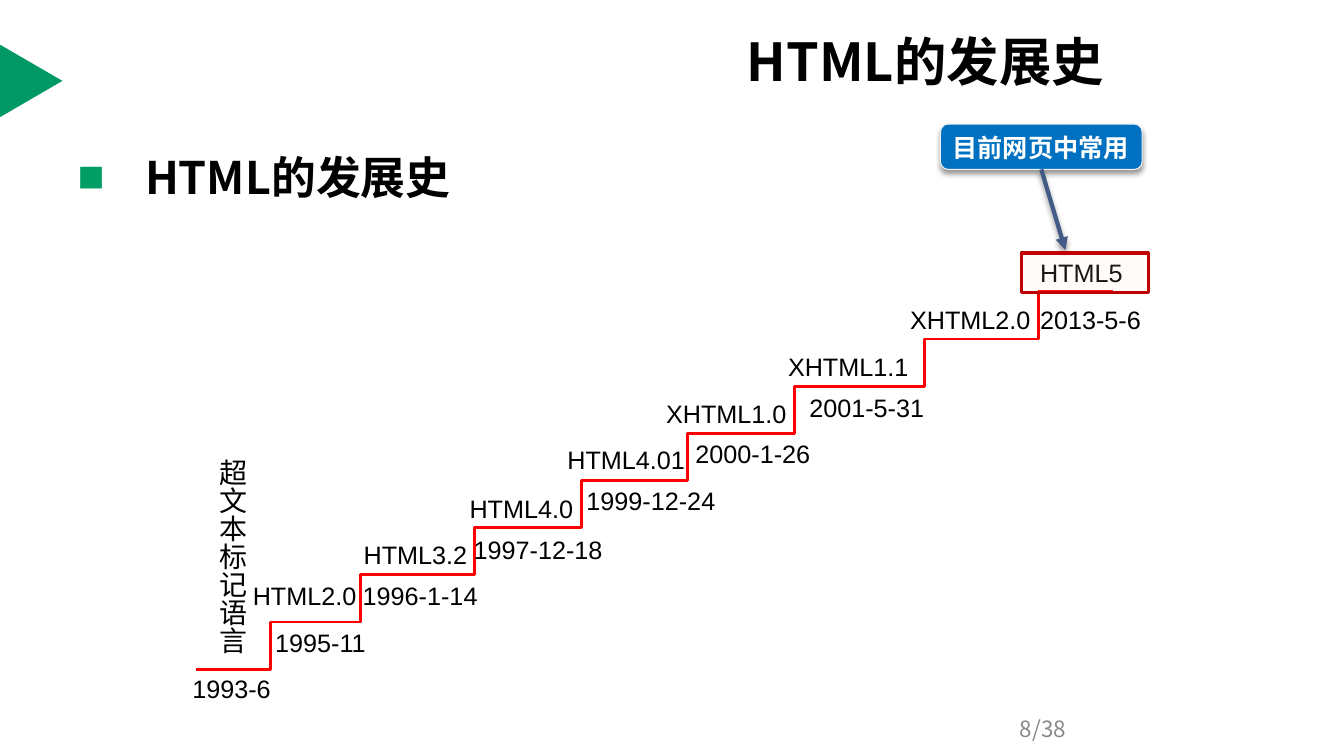
"""Build the slide on the history of HTML as a rising staircase."""
from lxml import etree
from pptx import Presentation
from pptx.dml.color import RGBColor
from pptx.enum.shapes import MSO_CONNECTOR, MSO_SHAPE
from pptx.enum.text import MSO_ANCHOR, MSO_AUTO_SIZE, PP_ALIGN
from pptx.oxml import parse_xml
from pptx.oxml.ns import nsdecls, qn
from pptx.util import Pt

ELBOW, STRAIGHT = MSO_CONNECTOR.ELBOW, MSO_CONNECTOR.STRAIGHT
TRIANGLE, RECTANGLE = MSO_SHAPE.ISOSCELES_TRIANGLE, MSO_SHAPE.RECTANGLE
ROUNDED = MSO_SHAPE.ROUNDED_RECTANGLE
TOP, MIDDLE, BOTTOM = MSO_ANCHOR.TOP, MSO_ANCHOR.MIDDLE, MSO_ANCHOR.BOTTOM
LEFT, CENTER = PP_ALIGN.LEFT, PP_ALIGN.CENTER
NO_FIT, GROW = MSO_AUTO_SIZE.NONE, MSO_AUTO_SIZE.SHAPE_TO_FIT_TEXT

BLACK = RGBColor(0x00, 0x00, 0x00)
WHITE = RGBColor(0xFF, 0xFF, 0xFF)
GREEN = RGBColor(0x00, 0x99, 0x66)
RED = RGBColor(0xFF, 0x00, 0x00)
DARK_RED = RGBColor(0xC0, 0x00, 0x00)
PINK = RGBColor(0xFF, 0xDD, 0xDD)
BLUE = RGBColor(0x00, 0x70, 0xC0)
ARROW_BLUE = RGBColor(0x41, 0x5A, 0x86)
PALE = RGBColor(0xF2, 0xF2, 0xF2)
GREY = RGBColor(0x89, 0x89, 0x89)
ARIAL, NOTO = "Arial", "Noto Sans CJK SC"

HEADING = "HTML的发展史"
ORIGIN = "超文本标记语言"
CALLOUT = "目前网页中常用"
PAGE_NUMBER = "8/38"
LABELS = [
    ("1993-6", 130.3, 477.4, 72),
    ("1995-11", 189.4, 444.5, 82),
    ("HTML2.0", 173.5, 410.7, 92),
    ("HTML3.2", 252.7, 381.6, 92),
    ("1996-1-14", 252, 410.7, 100),
    ("HTML4.0", 328.3, 348.5, 92),
    ("1997-12-18", 331.2, 378, 110),
    ("HTML4.01", 398.2, 313.9, 102),
    ("1999-12-24", 411.8, 343.4, 110),
    ("XHTML1.0", 468.7, 281.2, 106),
    ("2000-1-26", 489.6, 309.6, 100),
    ("XHTML1.1", 555.8, 247.7, 106),
    ("2001-5-31", 571, 276.5, 100),
    ("XHTML2.0", 643, 213.8, 106),
    ("HTML5", 735.8, 180, 76),
    ("2013-5-6", 735.8, 213.8, 90),
]
RISERS = [193, 257.8, 339.1, 415.4, 491, 567.4, 660.2, 741.6]
FLOOR, RISE, HALF_RUN = 478, 33.7, 53.3


def place(item, left, top, width, height):
    item.left, item.top = Pt(left), Pt(top)
    item.width, item.height = Pt(width), Pt(height)


def write(item, text, size, color, font=ARIAL, bold=False, anchor=TOP,
          align=LEFT, wrap=False, fit=GROW):
    frame = item.text_frame
    frame.text = text
    frame.word_wrap, frame.auto_size = wrap, fit
    frame.vertical_anchor = anchor
    para = frame.paragraphs[0]
    para.alignment = align
    para.space_before = Pt(0)
    span = para.runs[0]
    span.font.size, span.font.bold, span.font.name = Pt(size), bold, font
    span.font.color.rgb = color
    east_asian = etree.SubElement(span.font._element, qn("a:ea"))
    east_asian.set("typeface", NOTO)
    return para


def add_text(page, box, text, size, color, **options):
    item = page.shapes.add_textbox(*map(Pt, box))
    write(item, text, size, color, **options)
    return item


def add_figure(page, preset, box, fill, line=None, weight=0):
    figure = page.shapes.add_shape(preset, *map(Pt, box))
    figure.shadow.inherit = False
    figure.fill.solid()
    figure.fill.fore_color.rgb = fill
    if line is None:
        figure.line.fill.background()
    else:
        figure.line.color.rgb = line
        figure.line.width = Pt(weight)
    return figure


def add_line(page, kind, start, end, color, weight):
    line = page.shapes.add_connector(kind, *map(Pt, start + end))
    line.line.color.rgb = color
    line.line.width = Pt(weight)
    etree.SubElement(line._element.spPr, qn("a:effectLst"))
    return line


def cast_shadow(item):
    effects = item._element.spPr.find(qn("a:effectLst"))
    effects.append(parse_xml(
        f'<a:outerShdw {nsdecls("a")} blurRad="{Pt(4)}" dist="{Pt(3)}" '
        'dir="5400000" rotWithShape="0"><a:srgbClr val="000000">'
        '<a:alpha val="40000"/></a:srgbClr></a:outerShdw>'))


def add_bullet(para, indent):
    properties = para._p.get_or_add_pPr()
    properties.set("marL", str(Pt(indent)))
    properties.set("indent", str(-Pt(indent)))
    for xml in ('<a:buClr {}><a:srgbClr val="009E64"/></a:buClr>',
                '<a:buFont {} typeface="Arial"/>',
                '<a:buChar {} char="■"/>'):
        properties.append(parse_xml(xml.format(nsdecls("a"))))


def main():
    deck = Presentation()
    deck.slide_width, deck.slide_height = Pt(960), Pt(540)
    page = deck.slides.add_slide(deck.slide_layouts[1])

    marker = add_figure(page, TRIANGLE, (-3.6, 35.5, 51.8, 44.6), GREEN)
    marker.rotation = 90

    title, body = page.shapes.title, page.placeholders[1]
    place(title, 526.3, 5.8, 299.5, 74.9)
    write(title, HEADING, 37.4, BLACK, font=NOTO, bold=True, anchor=MIDDLE,
          wrap=True, fit=NO_FIT)
    place(body, 48.2, 103, 864, 379.4)
    add_bullet(write(body, HEADING, 32, BLACK, font=NOTO, bold=True,
                     wrap=True, fit=NO_FIT), 48.2)

    for step, riser in enumerate(RISERS):
        base = FLOOR - step * RISE
        add_line(page, ELBOW, (riser - HALF_RUN, base),
                 (riser + HALF_RUN, base - RISE), RED, 2)

    for text, left, top, width in LABELS:
        add_text(page, (left, top, width, 28.8), text, 18, BLACK)
    origin = add_text(page, (142.6, 320.4, 38.9, 146.9), ORIGIN, 20, BLACK)
    origin.text_frame._txBody.bodyPr.set("vert", "eaVert")

    callout = add_figure(page, ROUNDED, (671.8, 88.6, 144, 32.4),
                         BLUE, PALE, 0.75)
    write(callout, CALLOUT, 18, WHITE, bold=True, anchor=BOTTOM)
    cast_shadow(callout)
    arrow = add_line(page, STRAIGHT, (743.8, 121), (761, 178.6),
                     ARROW_BLUE, 3)
    arrow.begin_connect(callout, 2)
    etree.SubElement(arrow.line._get_or_add_ln(),
                     qn("a:tailEnd")).set("type", "triangle")
    cast_shadow(arrow)

    frame = add_figure(page, RECTANGLE, (729.4, 180.7, 90.7, 28.1),
                       PINK, DARK_RED, 2.25)
    tint = frame._element.spPr.find(qn("a:solidFill"))[0]
    etree.SubElement(tint, qn("a:alpha")).set("val", "10000")

    add_text(page, (661, 506.2, 167.8, 28.8), PAGE_NUMBER, 16, GREY,
             font=NOTO, anchor=MIDDLE, align=CENTER, wrap=True, fit=NO_FIT)
    deck.save("out.pptx")


if __name__ == "__main__":
    main()
